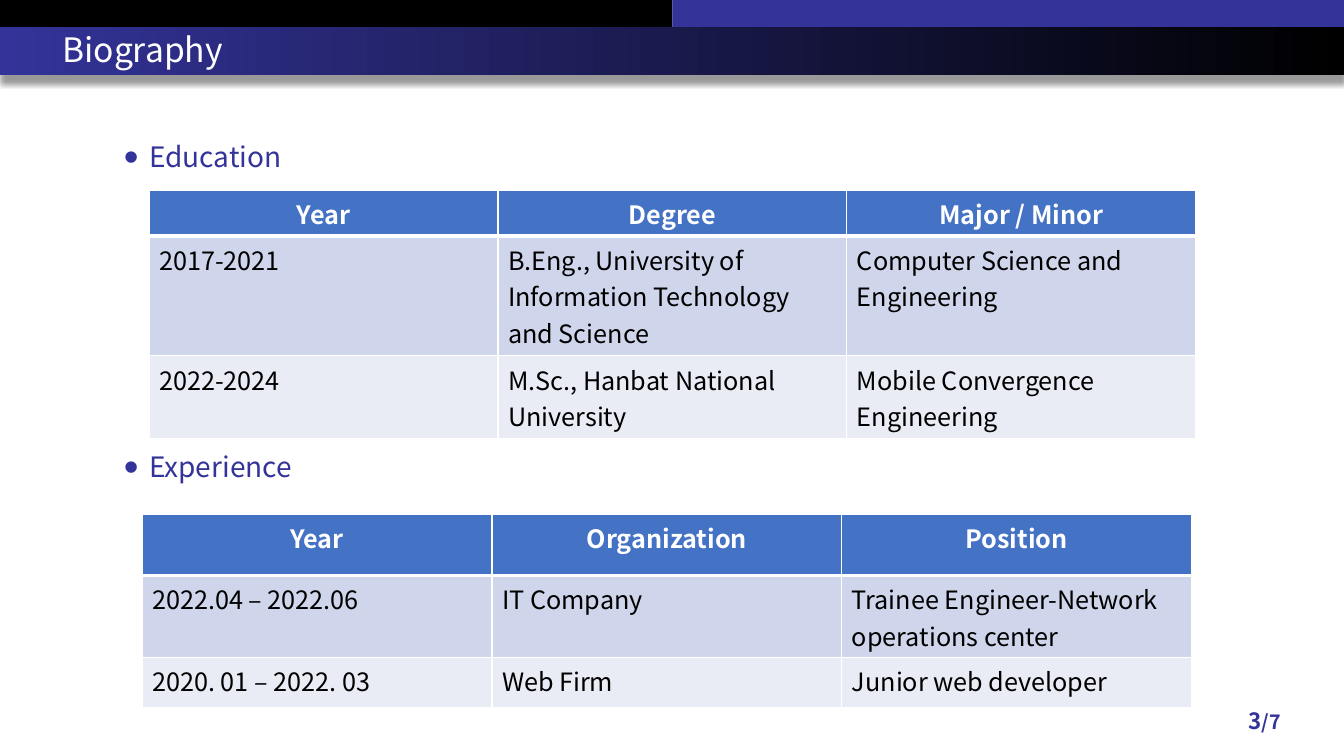
from lxml import etree
from pptx import Presentation
from pptx.dml.color import RGBColor
from pptx.enum import shapes, text
from pptx.oxml import parse_xml
from pptx.oxml.ns import qn
from pptx.util import Inches, Pt

FONT = "Noto Sans CJK KR"
COLORS = {
    "black": "000000", "white": "FFFFFF", "indigo": "333399",
    "header": "4472C4", "odd_row": "CFD5EA", "even_row": "E9EBF5",
}
TITLE = "Biography"
PAGE_RUNS = [("3", 16), ("/7", 14)]
SECTIONS = [
    {
        "heading": "Education", "heading_top": 1.37,
        "left": 1.48, "top": 1.89, "column": 3.46, "rows": [0.45, 1.19, 0.82],
        "cells": [
            ("Year", "Degree", "Major / Minor"),
            ("2017-2021", "B.Eng., University of Information Technology and Science",
             "Computer Science and Engineering"),
            ("2022-2024", "M.Sc., Hanbat National University",
             "Mobile Convergence Engineering"),
        ],
    },
    {
        "heading": "Experience", "heading_top": 4.45,
        "left": 1.41, "top": 5.1, "column": 3.47, "rows": [0.61, 0.81, 0.5],
        "cells": [
            ("Year", "Organization", "Position"),
            ("2022.04 – 2022.06", "IT Company", "Trainee Engineer-Network operations center"),
            ("2020. 01 – 2022. 03", "Web Firm", "Junior web developer"),
        ],
    },
]
ROW_FILLS = ["header", "odd_row", "even_row"]
DRAWING = 'xmlns:a="http://schemas.openxmlformats.org/drawingml/2006/main"'


def rgb(name):
    return RGBColor.from_string(COLORS[name])


def style_run(run, size, color, bold=False):
    run.font.name = FONT
    run.font.size = Pt(size)
    run.font.bold = bold
    run.font.color.rgb = rgb(color)


def add_bar(slide, left, top, width, height, color):
    bar = slide.shapes.add_shape(
        shapes.MSO_SHAPE.RECTANGLE, *map(Inches, (left, top, width, height)))
    bar.shadow.inherit = False
    bar.fill.solid()
    bar.fill.fore_color.rgb = rgb(color)
    bar.line.fill.background()
    return bar


def add_title_band(slide):
    band = add_bar(slide, 0, 0.27, 13.33, 0.47, "indigo")
    band.fill.gradient()
    band.fill.gradient_angle = 0
    for stop, color, position in zip(
            band.fill.gradient_stops, ("indigo", "black"), (0, 1)):
        stop.color.rgb = rgb(color)
        stop.position = position
    effects = band.element.spPr.find(qn("a:effectLst"))
    effects.append(parse_xml(
        f'<a:outerShdw {DRAWING} blurRad="{Pt(4)}" dist="{Pt(6)}" dir="5400000" '
        f'algn="t" rotWithShape="0"><a:srgbClr val="{COLORS["black"]}">'
        '<a:alpha val="40000"/></a:srgbClr></a:outerShdw>'))


def add_text(slide, left, top, width, height, runs, color, bold=False):
    box = slide.shapes.add_textbox(*map(Inches, (left, top, width, height)))
    frame = box.text_frame
    frame.word_wrap = True
    frame.vertical_anchor = text.MSO_ANCHOR.MIDDLE
    paragraph = frame.paragraphs[0]
    for words, size in runs:
        run = paragraph.add_run()
        run.text = words
        style_run(run, size, color, bold)
    return frame


def add_heading(slide, section):
    frame = add_text(slide, 1.13, section["heading_top"], 11.14, 0.45,
                     [(section["heading"], 20)], "indigo")
    frame.vertical_anchor = text.MSO_ANCHOR.TOP
    paragraph = frame.paragraphs[0]
    paragraph.line_spacing = 0.9
    properties = paragraph._p.get_or_add_pPr()
    properties.set("marL", str(Inches(0.25)))
    properties.set("indent", str(Inches(-0.25)))
    for tag, key, value in (("buSzPct", "val", "150000"),
                            ("buFont", "typeface", "Arial"),
                            ("buChar", "char", "•")):
        etree.SubElement(properties, qn(f"a:{tag}")).set(key, value)


def add_borders(cell, row):
    widths = {"L": 1, "R": 1, "T": 3 if row == 1 else 1, "B": 3 if row == 0 else 1}
    properties = cell._tc.get_or_add_tcPr()
    for side, width in widths.items():
        properties.append(parse_xml(
            f'<a:ln{side} {DRAWING} w="{Pt(width)}"><a:solidFill>'
            f'<a:srgbClr val="{COLORS["white"]}"/></a:solidFill></a:ln{side}>'))


def add_section_table(slide, section):
    cells, heights = section["cells"], section["rows"]
    columns = len(cells[0])
    table = slide.shapes.add_table(
        len(cells), columns, Inches(section["left"]), Inches(section["top"]),
        Inches(section["column"] * columns), Inches(sum(heights))).table
    for column in table.columns:
        column.width = Inches(section["column"])
    for row, (values, height) in enumerate(zip(cells, heights)):
        table.rows[row].height = Inches(height)
        is_header = row == 0
        for column, value in enumerate(values):
            cell = table.cell(row, column)
            add_borders(cell, row)
            cell.fill.solid()
            cell.fill.fore_color.rgb = rgb(ROW_FILLS[row])
            cell.text_frame.text = value
            paragraph = cell.text_frame.paragraphs[0]
            paragraph.alignment = text.PP_ALIGN.CENTER if is_header else text.PP_ALIGN.LEFT
            style_run(paragraph.runs[0], 18, "white" if is_header else "black", is_header)


def main():
    presentation = Presentation()
    presentation.slide_width = Inches(13.33)
    presentation.slide_height = Inches(7.5)
    slide = presentation.slides.add_slide(presentation.slide_layouts[6])

    for index, color in enumerate(("black", "indigo")):
        add_bar(slide, index * 6.67, 0, 6.67, 0.3, color)
    add_title_band(slide)
    title = add_text(slide, 0.52, 0.32, 11.5, 0.38, [(TITLE, 24)], "white")
    title.paragraphs[0].line_spacing = 0.9

    for section in SECTIONS:
        add_heading(slide, section)
        add_section_table(slide, section)

    page = add_text(slide, 9.8, 6.95, 3, 0.4, PAGE_RUNS, "indigo", True)
    page.paragraphs[0].alignment = text.PP_ALIGN.RIGHT
    presentation.save("out.pptx")


if __name__ == "__main__":
    main()
